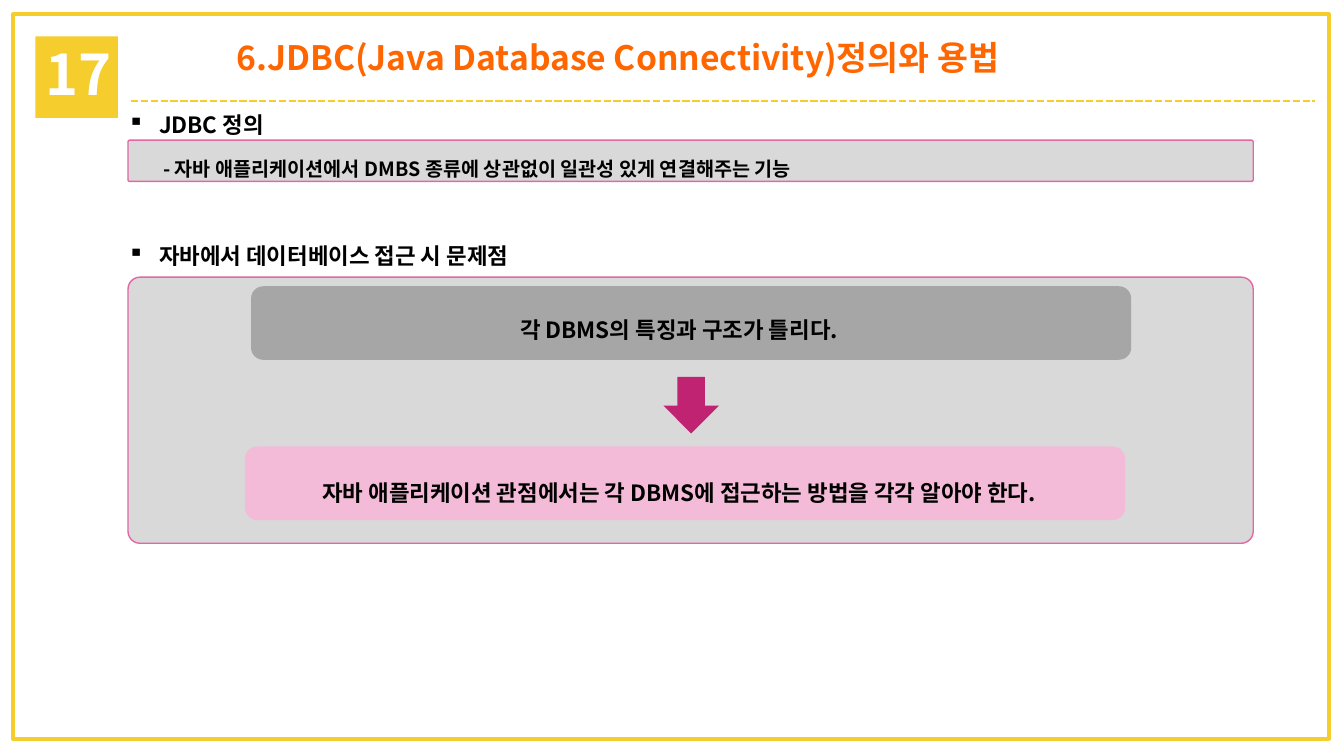
from pptx import Presentation, util as u
from pptx.dml.color import RGBColor
from pptx.enum import dml, shapes, text
from pptx.oxml import ns
from lxml import etree

YELLOW = RGBColor(0xF5, 0xCD, 0x2D)
ORANGE = RGBColor(0xFF, 0x66, 0x00)
WHITE = RGBColor(0xFF, 0xFF, 0xFF)
BLACK = RGBColor(0x00, 0x00, 0x00)
LIGHT_GRAY = RGBColor(0xD9, 0xD9, 0xD9)
MID_GRAY = RGBColor(0xA6, 0xA6, 0xA6)
PINK_LINE = RGBColor(0xE3, 0x67, 0xA5)
PINK = RGBColor(0xF3, 0xBB, 0xD7)
MAGENTA = RGBColor(0xBF, 0x23, 0x71)

FONT = "Noto Sans CJK KR"
KIND = shapes.MSO_SHAPE
CENTER = text.PP_ALIGN.CENTER


def write_text(box, words, size=16, color=BLACK, align=None, spacing=None,
               margin=0, indent=0, bullet=None):
    para = box.text_frame.paragraphs[0]
    if align is not None:
        para.alignment = align
    if spacing:
        para.line_spacing = spacing
    properties = para._p.get_or_add_pPr()
    properties.set("marL", str(u.Inches(margin)))
    properties.set("indent", str(u.Inches(indent)))
    if bullet:
        etree.SubElement(properties, ns.qn("a:buChar")).set("char", bullet)
    span = para.add_run()
    span.text = words
    span.font.name = FONT
    span.font.size = u.Pt(size)
    span.font.bold = True
    span.font.color.rgb = color
    east_asian = etree.SubElement(span.font._element, ns.qn("a:ea"))
    east_asian.set("typeface", FONT)


class Slide:
    def __init__(self, deck):
        self.page = deck.slides.add_slide(deck.slide_layouts[6])

    def shape(self, kind, *place, fill=None, line=None, width=1, corner=None):
        shape = self.page.shapes.add_shape(kind, *map(u.Inches, place))
        shape.shadow.inherit = False
        if corner is not None:
            shape.adjustments[0] = corner
        if fill is None:
            shape.fill.background()
        else:
            shape.fill.solid()
            shape.fill.fore_color.rgb = fill
        if line is None:
            shape.line.fill.background()
        else:
            shape.line.color.rgb = line
            shape.line.width = u.Pt(width)

    def panel(self, *place):
        self.shape(KIND.ROUNDED_RECTANGLE, *place, fill=LIGHT_GRAY,
                   line=PINK_LINE, corner=0.045)

    def label(self, words, *place, **style):
        box = self.page.shapes.add_textbox(*map(u.Inches, place))
        box.text_frame.word_wrap = True
        write_text(box, words, **style)

    def heading(self, words, top):
        self.label(words, 1.17, top, 5.68, 0.37,
                   margin=0.31, indent=-0.31, bullet="▪")

    def statement(self, words, left, top, fill, text_top):
        self.shape(KIND.ROUNDED_RECTANGLE, left, top, 8.73, 0.73, fill=fill)
        self.label(words, 1.43, text_top, 10.51, 0.45,
                   align=CENTER, spacing=1.5, margin=0.1)

    def dashed_rule(self, left, right, top):
        ends = map(u.Inches, (left, top, right, top))
        rule = self.page.shapes.add_connector(shapes.MSO_CONNECTOR.STRAIGHT, *ends)
        rule.line.color.rgb = YELLOW
        rule.line.width = u.Pt(1.75)
        rule.line.dash_style = dml.MSO_LINE.SQUARE_DOT
        etree.SubElement(rule._element.spPr, ns.qn("a:effectLst"))


def main():
    deck = Presentation()
    deck.slide_width = u.Inches(13.33)
    deck.slide_height = u.Inches(7.5)
    slide = Slide(deck)

    slide.shape(KIND.RECTANGLE, 0.13, 0.14, 13.05, 7.19, line=YELLOW, width=2.5)
    slide.shape(KIND.RECTANGLE, 0.35, 0.36, 0.82, 0.81, fill=YELLOW)
    slide.label("17", 0.35, 0.34, 0.97, 0.77, size=40, color=WHITE)
    slide.dashed_rule(1.3, 13.04, 1)
    slide.label("6.JDBC(Java Database Connectivity)정의와 용법", 1.43, 0.32, 9.4, 0.5,
                size=24, color=ORANGE, align=CENTER)

    slide.heading("JDBC 정의", 1.05)
    slide.panel(1.27, 1.39, 11.16, 0.41)
    slide.label("- 자바 애플리케이션에서 DMBS 종류에 상관없이 일관성 있게 연결해주는 기능",
                1.43, 1.39, 10.51, 0.41, size=14, spacing=1.5, margin=0.09)

    slide.heading("자바에서 데이터베이스 접근 시 문제점", 2.35)
    slide.panel(1.27, 2.75, 11.16, 2.64)
    slide.statement("각 DBMS의 특징과 구조가 틀리다.", 2.49, 2.84, MID_GRAY, 2.95)
    slide.shape(KIND.DOWN_ARROW, 6.58, 3.74, 0.55, 0.56, fill=MAGENTA)
    slide.statement("자바 애플리케이션 관점에서는 각 DBMS에 접근하는 방법을 각각 알아야 한다.",
                    2.43, 4.43, PINK, 4.57)

    deck.save("out.pptx")


if __name__ == "__main__":
    main()
